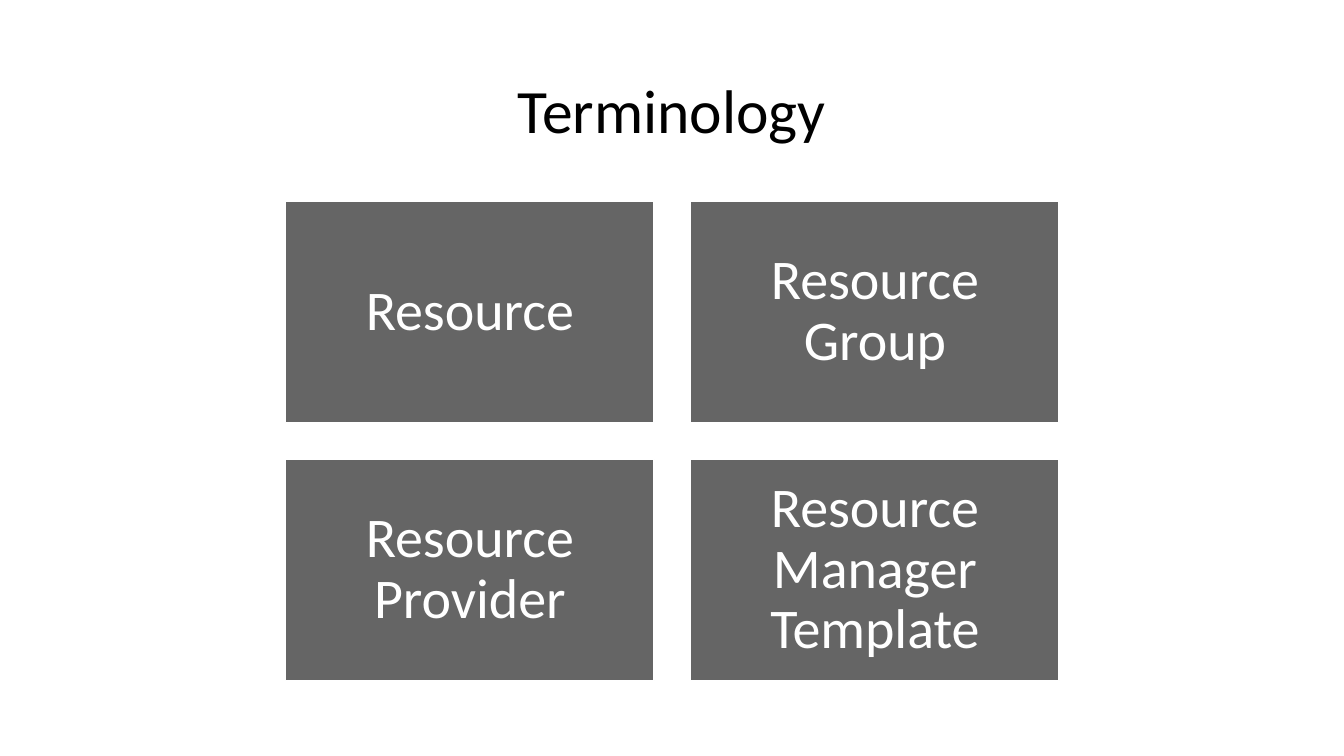
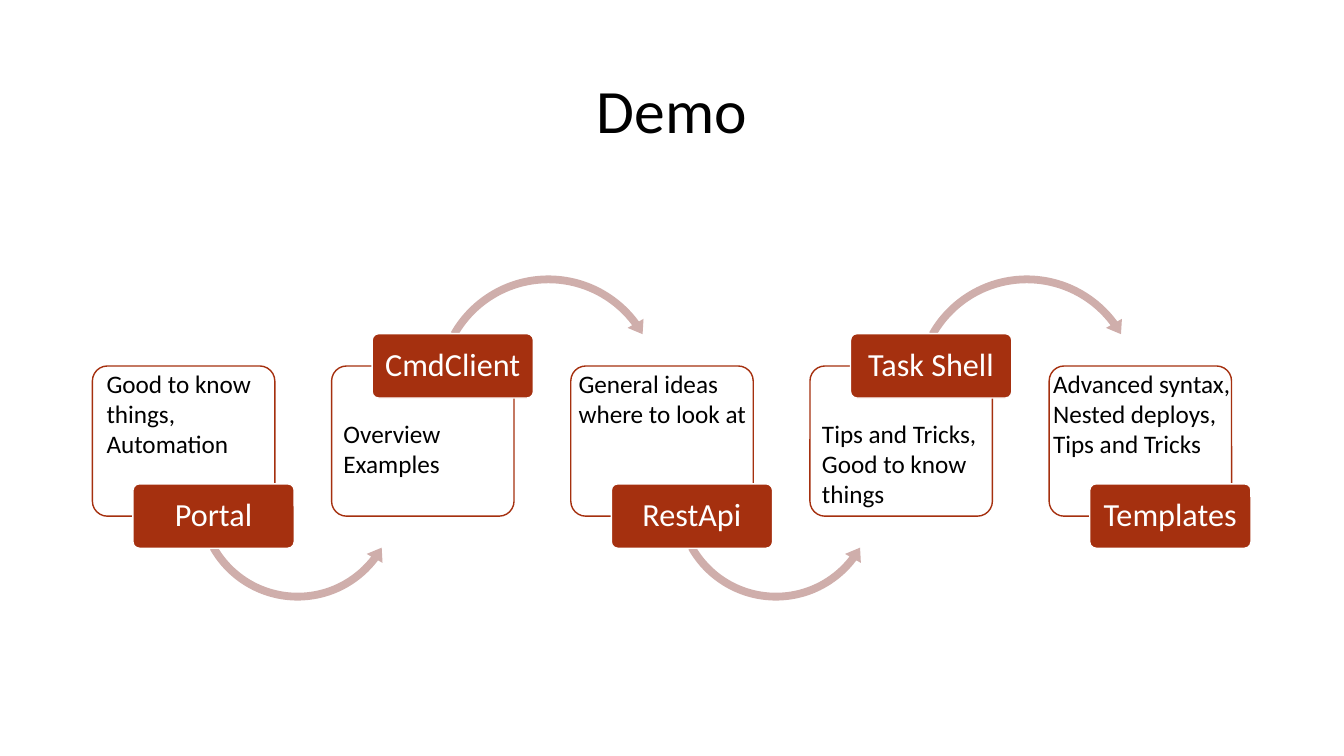
import pptx
import pptx.util
import pptx.dml.color
import pptx.enum.shapes
import pptx.enum.text
import pptx.oxml
import pptx.oxml.ns

Pt = pptx.util.Pt
RGB = pptx.dml.color.RGBColor
SHAPE = pptx.enum.shapes.MSO_SHAPE
ALIGN = pptx.enum.text.PP_ALIGN
ANCHOR = pptx.enum.text.MSO_ANCHOR
FIT = pptx.enum.text.MSO_AUTO_SIZE

WHITE = RGB(0xFF, 0xFF, 0xFF)
BLACK = RGB(0, 0, 0)
GRAY = RGB(0x65, 0x65, 0x65)
RUST = RGB(0xA5, 0x30, 0x0F)
ROSE = RGB(0xCF, 0xAE, 0xAB)
FONT = "Calibri"


def write(shape, text, size=18, color=BLACK, align=ALIGN.CENTER,
          anchor=ANCHOR.MIDDLE, inset=(7.2, 3.6), space=0.9, wrap=True):
    frame = shape.text_frame
    frame.word_wrap = wrap
    frame.auto_size = FIT.NONE if wrap else FIT.SHAPE_TO_FIT_TEXT
    frame.vertical_anchor = anchor
    frame.margin_left = frame.margin_right = Pt(inset[0])
    frame.margin_top = frame.margin_bottom = Pt(inset[1])
    frame.text = text
    for para in frame.paragraphs:
        para.alignment = align
        para.line_spacing = space
        for run in para.runs:
            run.font.name = FONT
            run.font.size = Pt(size)
            run.font.color.rgb = color


class Deck:
    def __init__(self):
        self.file = pptx.Presentation()
        self.file.slide_width = Pt(960)
        self.file.slide_height = Pt(540)
        self.slide = None

    def page(self, title):
        self.slide = self.file.slides.add_slide(self.file.slide_layouts[6])
        write(self.box(66, 28.8, 828, 104.4), title, size=44)

    def box(self, *place):
        return self.slide.shapes.add_textbox(*map(Pt, place))

    def shape(self, kind, place, fill, line=None, adjust=(), alpha=None):
        shape = self.slide.shapes.add_shape(kind, *map(Pt, place))
        shape.shadow.inherit = False
        shape.fill.solid()
        shape.fill.fore_color.rgb = fill
        if line is None:
            shape.line.fill.background()
        else:
            shape.line.color.rgb = line
            shape.line.width = Pt(1)
        for index, value in enumerate(adjust):
            shape.adjustments[index] = value
        if alpha is not None:
            tint = shape.fill._xPr.find(".//" + pptx.oxml.ns.qn("a:srgbClr"))
            node = pptx.oxml.parse_xml(
                f'<a:alpha {pptx.oxml.ns.nsdecls("a")} val="{alpha * 1000}"/>')
            tint.append(node)
        return shape

    def tile(self, text, *place):
        shape = self.shape(SHAPE.RECTANGLE, place, GRAY, WHITE)
        write(shape, text, size=40, color=WHITE, inset=(12, 12))

    def frame(self, *place):
        self.shape(SHAPE.ROUNDED_RECTANGLE, place, WHITE, RUST, [0.1], 90)

    def label(self, text, *place):
        shape = self.shape(SHAPE.ROUNDED_RECTANGLE, place, RUST, WHITE, [0.1])
        write(shape, text, size=23, color=WHITE, inset=(5, 3.6))

    def arrow(self, left, high):
        if high:
            self.shape(SHAPE.CIRCULAR_ARROW, (left, 193, 167.8, 167.8), ROSE,
                       adjust=(0.033, 4.086, 194.159, 125.755, 0.039))
        else:
            self.shape(SHAPE.LEFT_CIRCULAR_ARROW, (left, 281.5, 151.2, 151.2), ROSE,
                       adjust=(0.037, 4.574, 22.329, 90.245, 0.043))

    def note(self, text, *place):
        write(self.box(*place), text, align=ALIGN.LEFT, anchor=ANCHOR.TOP,
              space=1, wrap=False)


deck = Deck()

deck.page("Terminology")
TERMS = ["Resource", "Resource Group", "Resource Provider",
         "Resource Manager Template"]
for index, term in enumerate(TERMS):
    row, col = divmod(index, 2)
    deck.tile(term, 204 + 289.4 * col, 144 + 184.3 * row, 263.2, 157.7)

deck.page("Demo")
STEPS = [
    ("Portal", "Good to know\nthings,\nAutomation", 3, 118.8),
    ("CmdClient", "Overview\nExamples", 1.4, 84.2),
    ("RestApi", "General ideas\nwhere to look at", -1.5, 139),
    ("Task Shell", "Tips and Tricks,\nGood to know\nthings", 1.5, 126),
    ("Templates", "Advanced syntax,\nNested deploys,\nTips and Tricks", -4.3, 142.6),
]
for index, (name, text, shift, width) in enumerate(STEPS):
    left = 66 + 170.85 * index
    high = index % 2 == 1
    deck.frame(left, 261.4, 130.3, 107.3)
    if index < len(STEPS) - 1:
        deck.arrow(left + 71, high)
    deck.label(name, left + 29, 238.3 if high else 345.6, 115.2, 46)
    tall = 7.2 + 21.8 * len(text.split("\n"))
    deck.note(text, left + shift, 295.2 if high else 259.2, width, tall)

deck.file.save("out.pptx")
